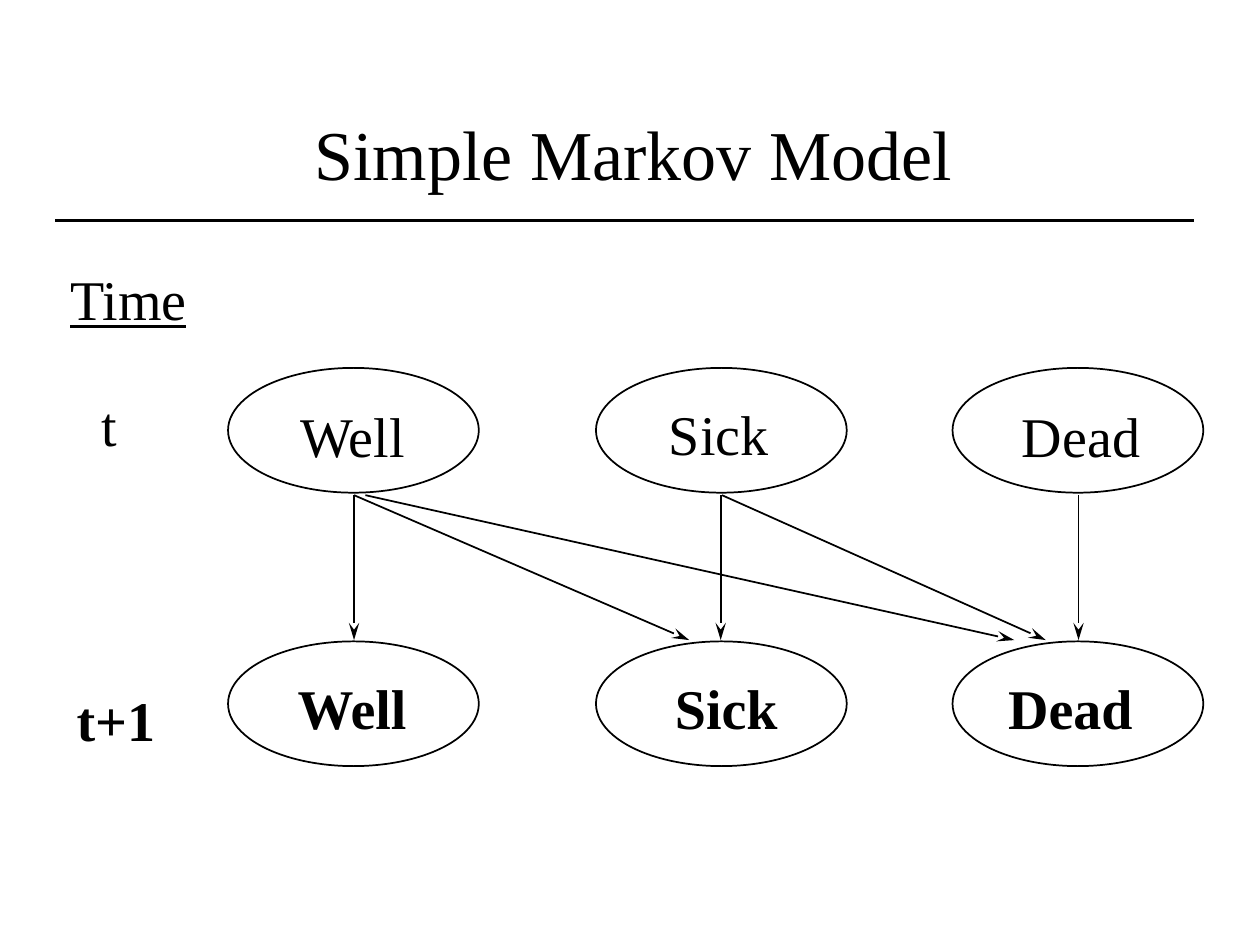
from dataclasses import dataclass

from lxml.etree import SubElement as Sub
from pptx import Presentation
from pptx.dml.color import RGBColor as Rgb
from pptx.enum.shapes import MSO_CONNECTOR as Link, MSO_SHAPE as Form
from pptx.enum.text import MSO_ANCHOR as Anchor, MSO_AUTO_SIZE as Fit, PP_ALIGN as Align
from pptx.oxml.ns import qn
from pptx.util import Inches, Pt


@dataclass(frozen=True)
class Theme:
    ink: Rgb = Rgb(0, 0, 0)
    font: str = "Times New Roman"
    head: int = 40
    body: int = 32
    thin: int = 1
    rule: int = 2


@dataclass(frozen=True)
class Label:
    text: str
    left: float
    top: float
    width: float
    bold: bool = False
    under: bool = False


@dataclass(frozen=True)
class Arrow:
    start: float
    end: float


THEME = Theme()

# State grid: three columns, one row for each time step
COLS = (1.81, 4.73, 7.56)
ROWS = (2.92, 5.09)
OVAL = (1.99, 0.99)
TALL = 0.63

LABELS = (
    Label("Time", 0.45, 2.05, 1.14, under=True),
    Label("t", 0.71, 3.05, 0.32),
    Label("t+1", 0.51, 5.39, 0.82, bold=True),
    Label("Well", 2.27, 3.14, 1.06),
    Label("Sick", 5.21, 3.12, 0.99),
    Label("Dead", 8.01, 3.14, 1.14),
    Label("Well", 2.25, 5.3, 1.09, bold=True),
    Label("Sick", 5.26, 5.3, 1.01, bold=True),
    Label("Dead", 7.9, 5.3, 1.19, bold=True),
)

# Moves between states, by x at time t and at time t+1
ARROWS = (
    Arrow(2.81, 2.81), Arrow(5.72, 5.72), Arrow(8.56, 8.56),
    Arrow(2.81, 5.47), Arrow(2.9, 8.05), Arrow(5.73, 8.3),
)
ARROW_TOP, ARROW_END = 3.93, 5.08


def place(shape, left: float, top: float, width: float, height: float) -> None:
    shape.left, shape.top = Inches(left), Inches(top)
    shape.width, shape.height = Inches(width), Inches(height)


def write(shape, text: str, size: int, bold: bool = False, under: bool = False) -> None:
    frame = shape.text_frame
    frame.word_wrap = False
    frame.auto_size = Fit.NONE
    frame.vertical_anchor = Anchor.TOP
    para = frame.paragraphs[0]
    para.alignment = Align.CENTER
    run = para.add_run()
    run.text = text
    font = run.font
    font.name, font.size = THEME.font, Pt(size)
    font.bold, font.underline = bold, under
    font.color.rgb = THEME.ink


def add_oval(slide, left: float, top: float) -> None:
    oval = slide.shapes.add_shape(
        Form.OVAL, Inches(left), Inches(top), *map(Inches, OVAL))
    oval.shadow.inherit = False
    oval.fill.background()
    oval.line.color.rgb = THEME.ink
    oval.line.width = Pt(THEME.thin)


def add_label(slide, label: Label) -> None:
    box = slide.shapes.add_textbox(0, 0, 0, 0)
    place(box, label.left, label.top, label.width, TALL)
    write(box, label.text, THEME.body, label.bold, label.under)


def add_line(slide, x1: float, y1: float, x2: float, y2: float,
             width: int, tip: bool = False) -> None:
    line = slide.shapes.add_connector(
        Link.STRAIGHT, Inches(x1), Inches(y1), Inches(x2), Inches(y2))
    line.line.color.rgb = THEME.ink
    line.line.width = Pt(width)
    if tip:
        Sub(line.line._get_or_add_ln(), qn("a:tailEnd"),
            type="stealth", w="med", len="lg")
    Sub(line._element.spPr, qn("a:effectLst"))


def main() -> None:
    deck = Presentation()
    deck.slide_width, deck.slide_height = Inches(10), Inches(7.5)
    slide = deck.slides.add_slide(deck.slide_layouts.get_by_name("Title Only"))

    # Title, wide enough for one line, and rule
    title = slide.shapes.title
    place(title, 2.15, 0.83, 5.75, 0.76)
    write(title, "Simple Markov Model", THEME.head)
    title.text_frame.word_wrap = True
    add_line(slide, 0.44, 1.75, 9.48, 1.75, THEME.rule)

    # States
    for top in ROWS:
        for left in COLS:
            add_oval(slide, left, top)
    for label in LABELS:
        add_label(slide, label)

    # Transitions
    for arrow in ARROWS:
        add_line(slide, arrow.start, ARROW_TOP, arrow.end, ARROW_END,
                 THEME.thin, tip=True)

    deck.save("out.pptx")


if __name__ == "__main__":
    main()
